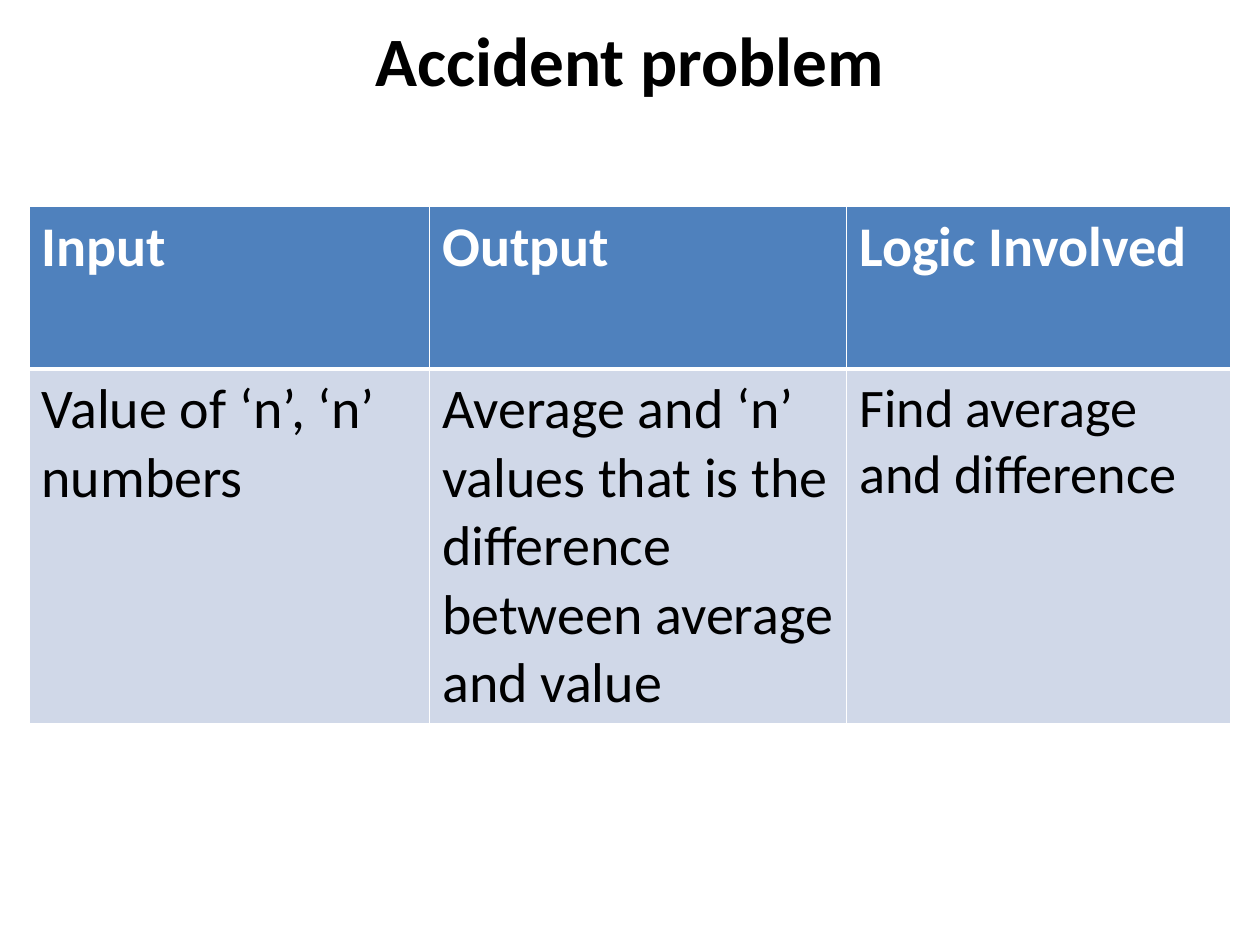
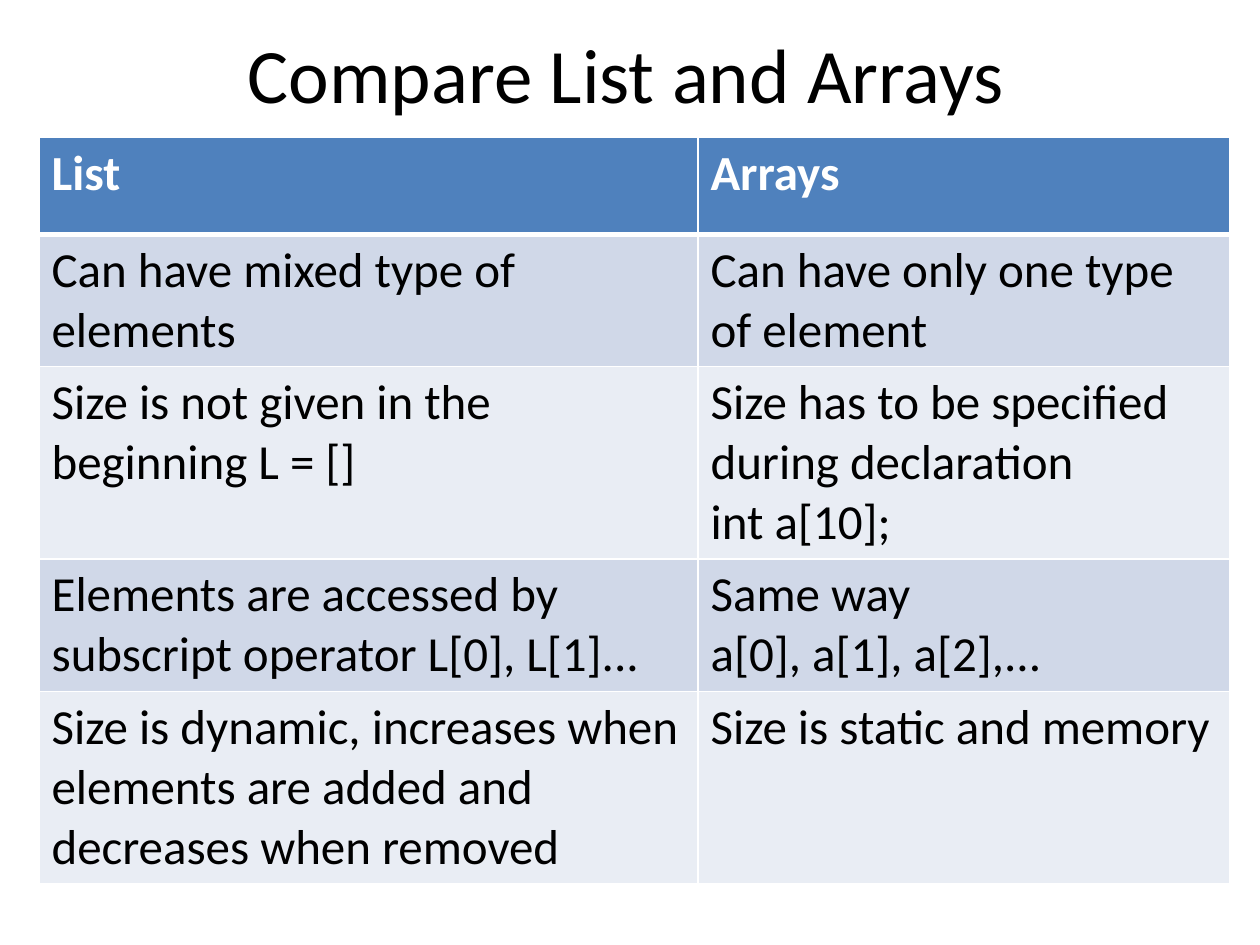
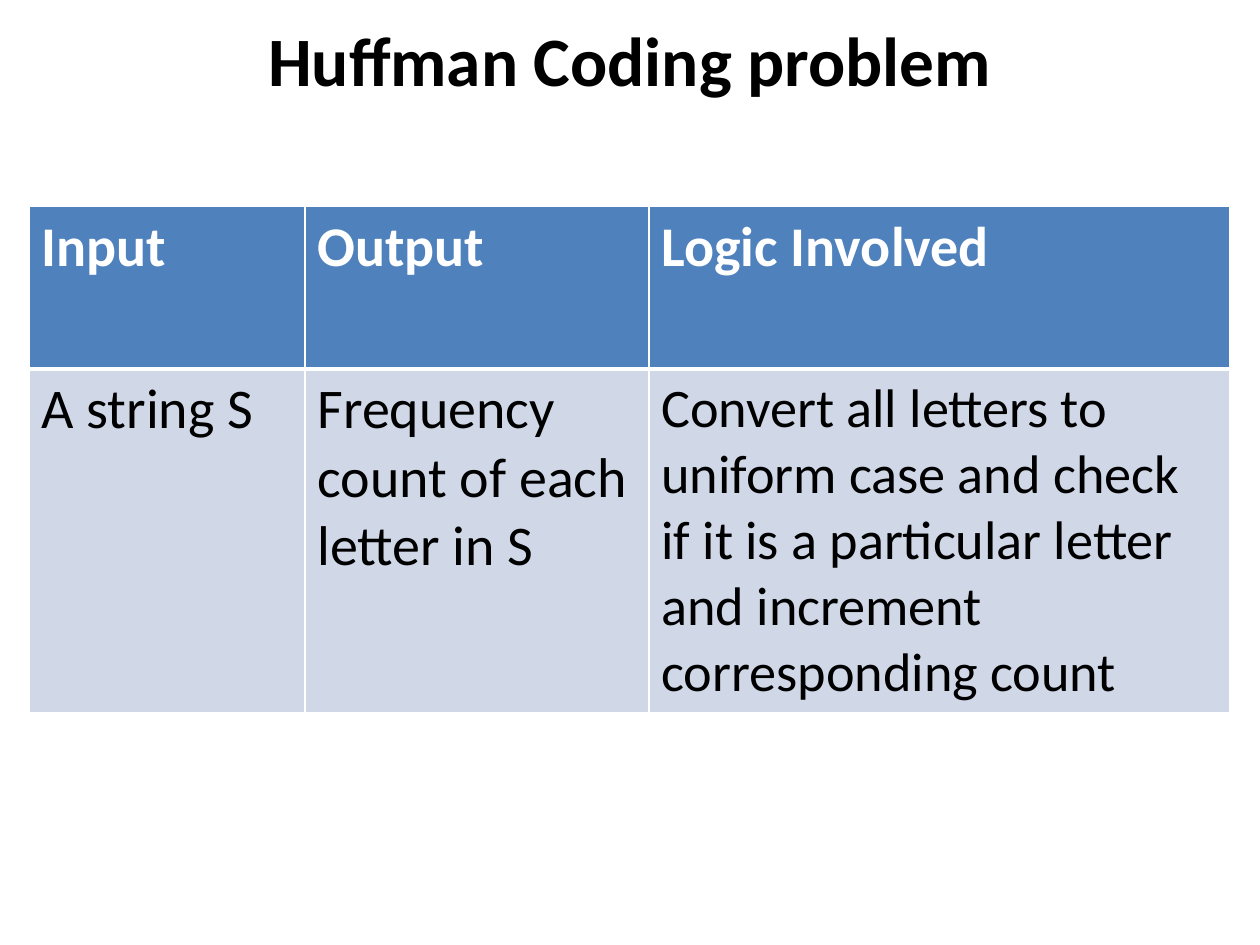
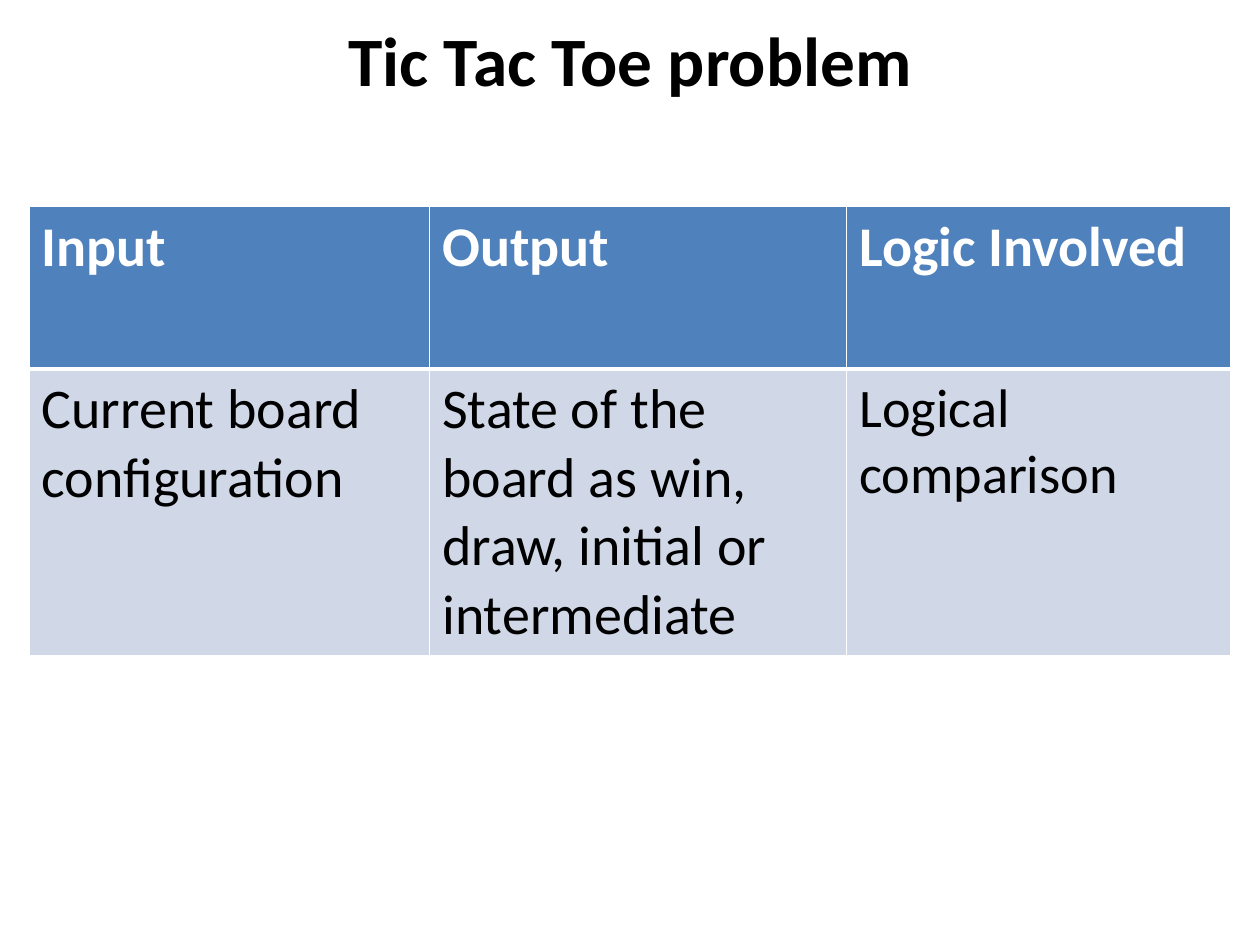
from lxml import etree
from pptx import Presentation
from pptx.dml.color import RGBColor
from pptx.enum.text import MSO_ANCHOR, MSO_AUTO_SIZE, PP_ALIGN
from pptx.oxml.ns import qn
from pptx.util import Inches, Pt

CENTER, LEFT = PP_ALIGN.CENTER, PP_ALIGN.LEFT
MIDDLE = MSO_ANCHOR.MIDDLE
NO_AUTOFIT = MSO_AUTO_SIZE.NONE
FONT = "Calibri"
WHITE, BLACK = "FFFFFF", "000000"
HEADER_FILL = "4F81BD"
BAND_FILLS = ["D0D8E8", "E9EDF4"]
TITLE_ONLY = 5

PROBLEM = {
    "title_box": (0.5, 0.08, 9, 0.78), "title_size": 39.6, "title_bold": True,
    "corner": (0.23, 1.64), "header_size": 32, "body_sizes": [32, 32, 31],
}
COMPARISON = {
    "title_box": (0.47, 0.14, 9, 0.87), "title_size": 44, "title_bold": False,
    "corner": (0.31, 1.09), "header_size": 28, "body_sizes": [28, 28],
}
PROBLEM_HEADER = ["Input", "Output", "Logic Involved"]

SLIDES = [
    ("Accident problem", PROBLEM, [3.18, 3.31, 3.05], [1.29, 2.76], [
        PROBLEM_HEADER,
        ["Value of ‘n’, ‘n’ numbers",
         "Average and ‘n’ values that is the difference between average and value",
         "Find average and difference"],
    ]),
    ("Compare List and Arrays", COMPARISON, [5.23, 4.22], [0.77, 1.03, 1.5, 1.03, 1.5], [
        ["List", "Arrays"],
        ["Can have mixed type of elements", "Can have only one type of element"],
        ["Size is not given in the beginning L = []",
         "Size has to be specified during declaration\nint a[10];"],
        ["Elements are accessed by subscript operator L[0], L[1]...",
         "Same way\na[0], a[1], a[2],..."],
        ["Size is dynamic, increases when elements are added and decreases when removed",
         "Size is static and memory"],
    ]),
    ("Huffman Coding problem", PROBLEM, [2.19, 2.73, 4.61], [1.29, 2.68], [
        PROBLEM_HEADER,
        ["A string S",
         "Frequency count of each letter in S",
         "Convert all letters to uniform case and check if it is a particular letter "
         "and increment corresponding count"],
    ]),
    ("Tic Tac Toe problem", PROBLEM, [3.18, 3.31, 3.05], [1.29, 2.23], [
        PROBLEM_HEADER,
        ["Current board configuration",
         "State of the board as win, draw, initial or intermediate",
         "Logical comparison"],
    ]),
]


def color(hex_string):
    return RGBColor.from_string(hex_string)


def write_text(text_frame, text, size, bold=False, fill=BLACK, align=LEFT):
    text_frame.text = text
    for paragraph in text_frame.paragraphs:
        paragraph.alignment = align
        for run in paragraph.runs:
            run.font.name = FONT
            run.font.size = Pt(size)
            run.font.bold = bold
            run.font.color.rgb = color(fill)


presentation = Presentation()
presentation.slide_width = Inches(10)
presentation.slide_height = Inches(7.5)

for title_text, style, widths, heights, rows in SLIDES:
    slide = presentation.slides.add_slide(presentation.slide_layouts[TITLE_ONLY])
    title = slide.shapes.title
    title.left, title.top, title.width, title.height = map(Inches, style["title_box"])
    title.text_frame.vertical_anchor = MIDDLE
    title.text_frame.auto_size = NO_AUTOFIT
    write_text(title.text_frame, title_text, style["title_size"],
               bold=style["title_bold"], align=CENTER)

    left, top = style["corner"]
    table = slide.shapes.add_table(
        len(rows), len(widths), Inches(left), Inches(top),
        Inches(sum(widths)), Inches(sum(heights))).table
    for column, width in zip(table.columns, widths):
        column.width = Inches(width)

    for row_index, row_texts in enumerate(rows):
        table.rows[row_index].height = Inches(heights[row_index])
        is_header = row_index == 0
        for column_index, cell_text in enumerate(row_texts):
            cell = table.cell(row_index, column_index)
            properties = cell._tc.get_or_add_tcPr()
            for side in "LRTB":
                thick = (is_header and side == "B") or (row_index == 1 and side == "T")
                line = etree.SubElement(properties, qn(f"a:ln{side}"),
                                        w=str(Pt(3 if thick else 1)))
                line_fill = etree.SubElement(line, qn("a:solidFill"))
                etree.SubElement(line_fill, qn("a:srgbClr"), val=WHITE)
            cell.fill.solid()
            cell.fill.fore_color.rgb = color(
                HEADER_FILL if is_header else BAND_FILLS[(row_index - 1) % 2])
            size = style["header_size"] if is_header else style["body_sizes"][column_index]
            write_text(cell.text_frame, cell_text, size, bold=is_header,
                       fill=WHITE if is_header else BLACK)

presentation.save("out.pptx")
